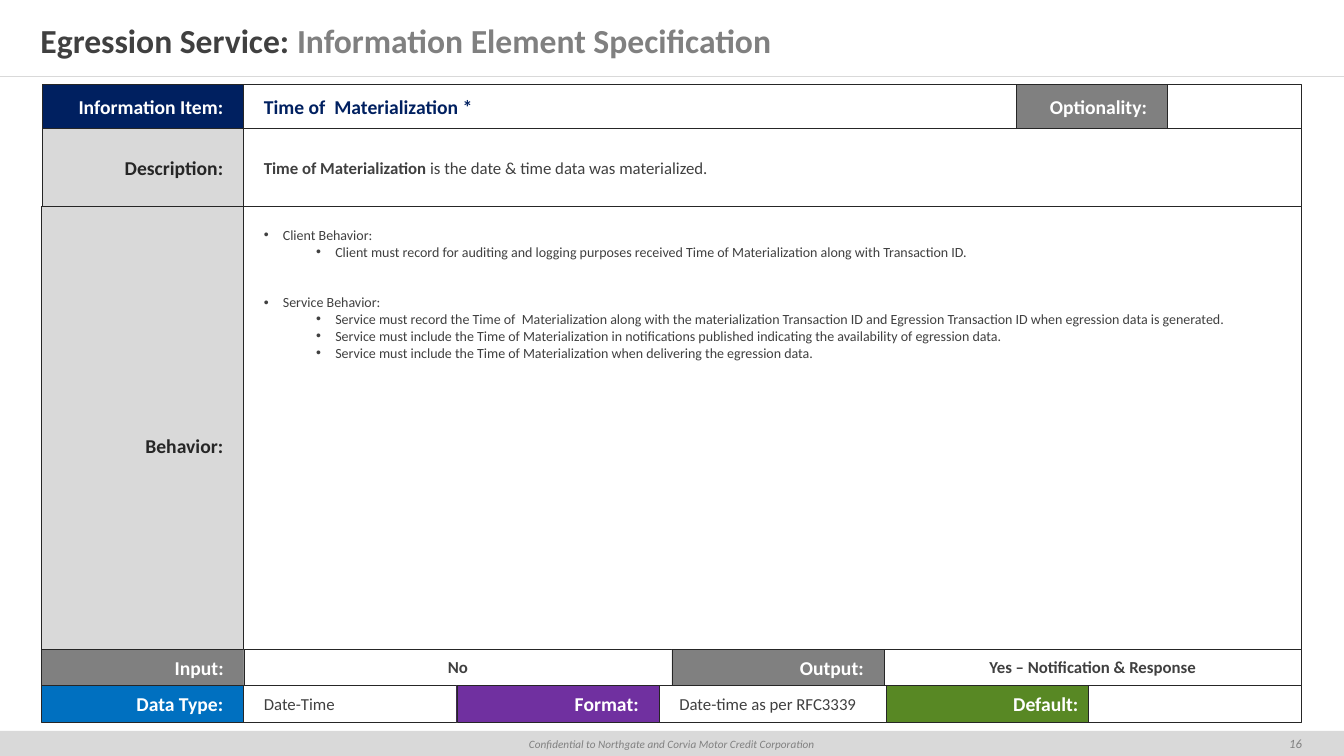
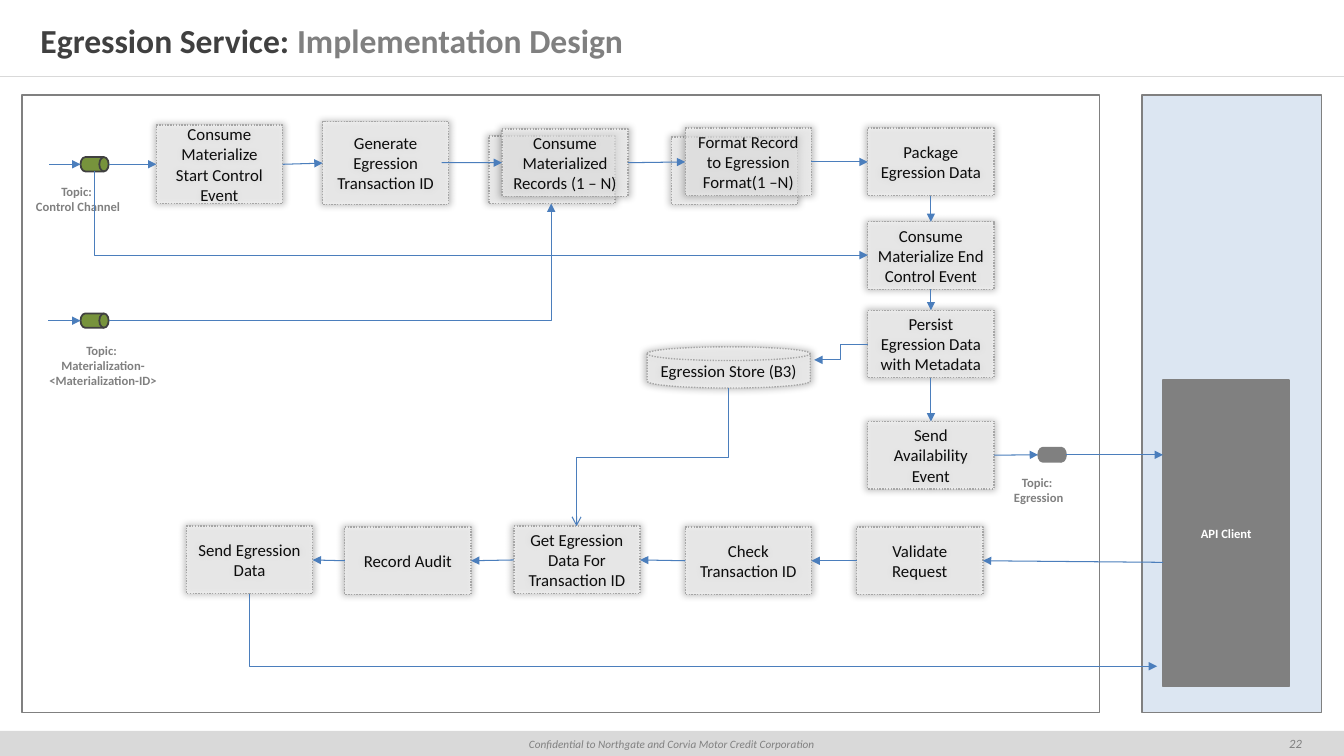
from dataclasses import dataclass
from typing import Union

from lxml.etree import SubElement
from pptx import Presentation
from pptx.dml.color import RGBColor
from pptx.enum.dml import MSO_LINE
from pptx.enum.shapes import MSO_CONNECTOR, MSO_SHAPE
from pptx.enum.text import MSO_ANCHOR, PP_ALIGN
from pptx.oxml.ns import qn
from pptx.util import Cm, Pt

FONT = "Calibri"
WHITE, INK, DARK, GREY, LIGHT = "FFFFFF", "262626", "404040", "808080", "D9D9D9"
NAVY, LINK, GREEN = "002060", "4B7EBC", "77933C"
WIDTH, HEIGHT = 33.87, 19.05
FOOTER = "Confidential to Northgate and Corvia Motor Credit Corporation"
PLAIN = (0.25, 0.13)
Point = tuple[float, float]
End = Union[Point, tuple[str, int]]


@dataclass(frozen=True)
class Style:
    size: float = 12
    color: str = DARK
    bold: bool = False
    italic: bool = False
    align: PP_ALIGN = PP_ALIGN.LEFT


@dataclass(frozen=True)
class Cell:
    text: str
    fill: str
    style: Style
    inset: float = 0.51


@dataclass(frozen=True)
class Row:
    top: float
    bottom: float
    edges: tuple[float, ...]
    cells: tuple[Cell, ...]


@dataclass(frozen=True)
class Step:
    key: str
    text: str
    left: float
    top: float
    width: float = 3.18
    height: float = 1.7
    kind: MSO_SHAPE = MSO_SHAPE.RECTANGLE


@dataclass(frozen=True)
class Elbow:
    start: Point
    end: Point
    preset: str
    upright: bool = False
    arrow: str = "triangle"


def rgb(color: str) -> RGBColor:
    """Turn a hex string into a colour."""
    return RGBColor.from_string(color)


def format_span(span, style: Style) -> None:
    """Apply a text style to one run."""
    font = span.font
    font.name, font.size = FONT, Pt(style.size)
    font.bold, font.italic = style.bold, style.italic
    font.color.rgb = rgb(style.color)


def write(box, text: str, style: Style, inset: Point = PLAIN, anchor=MSO_ANCHOR.MIDDLE) -> None:
    """Fill a shape with uniformly styled text."""
    frame = box.text_frame
    frame.word_wrap, frame.vertical_anchor = True, anchor
    frame.margin_left = frame.margin_right = Cm(inset[0])
    frame.margin_top = frame.margin_bottom = Cm(inset[1])
    frame.text = text
    for para in frame.paragraphs:
        para.alignment = style.align
        for span in para.runs:
            format_span(span, style)


def add_box(page, left, top, width, height, fill, line=None, weight=1.0, kind=MSO_SHAPE.RECTANGLE):
    """Add a filled shape without a shadow."""
    box = page.shapes.add_shape(kind, Cm(left), Cm(top), Cm(width), Cm(height))
    box.shadow.inherit = False
    box.fill.solid()
    box.fill.fore_color.rgb = rgb(fill)
    if line:
        box.line.color.rgb = rgb(line)
        box.line.width = Pt(weight)
    else:
        box.line.fill.background()
    return box


def add_label(page, text, left, top, width, height, style, inset=PLAIN, anchor=MSO_ANCHOR.TOP) -> None:
    """Add a text box."""
    box = page.shapes.add_textbox(Cm(left), Cm(top), Cm(width), Cm(height))
    write(box, text, style, inset, anchor)


def add_line(page, start: Point, end: Point, color=LINK, weight=0.75, arrow="", kind=MSO_CONNECTOR.STRAIGHT):
    """Add a connector with an optional arrowhead at its end."""
    line = page.shapes.add_connector(kind, *(Cm(value) for value in (*start, *end)))
    line.line.color.rgb = rgb(color)
    line.line.width = Pt(weight)
    if arrow:
        SubElement(line.line._get_or_add_ln(), qn("a:tailEnd"), type=arrow)
    SubElement(line._element.spPr, qn("a:effectLst"))
    return line


def add_link(page, boxes: dict, start: End, end: End) -> None:
    """Draw a straight arrow, joined to every named box."""
    ends = [(0, 0) if isinstance(stop[0], str) else stop for stop in (start, end)]
    line = add_line(page, *ends, arrow="triangle")
    for stop, join in ((start, line.begin_connect), (end, line.end_connect)):
        if isinstance(stop[0], str):
            join(boxes[stop[0]], stop[1])


def add_elbow(page, elbow: Elbow) -> None:
    """Draw a bent arrow, turned a quarter when it starts vertically."""
    (x1, y1), (x2, y2) = elbow.start, elbow.end
    start, end = elbow.start, elbow.end
    if elbow.upright:
        mid_x, mid_y = (x1 + x2) / 2, (y1 + y2) / 2
        half_x, half_y = (y2 - y1) / 2, (x1 - x2) / 2
        start, end = (mid_x - half_x, mid_y - half_y), (mid_x + half_x, mid_y + half_y)
    line = add_line(page, start, end, arrow=elbow.arrow, kind=MSO_CONNECTOR.ELBOW)
    properties = line._element.spPr
    properties.find(qn("a:prstGeom")).set("prst", elbow.preset)
    if elbow.upright:
        properties.find(qn("a:xfrm")).set("rot", "5400000")


def add_step(page, step: Step):
    """Draw a translucent process step with a soft halo."""
    box = add_box(page, step.left, step.top, step.width, step.height, WHITE, "A6A6A6", kind=step.kind)
    box.line.dash_style = MSO_LINE.ROUND_DOT
    color = box._element.spPr.find(qn("a:solidFill"))[0]
    SubElement(color, qn("a:alpha"), val="60000")
    effects = box._element.spPr.find(qn("a:effectLst"))
    halo = SubElement(effects, qn("a:outerShdw"), blurRad="63500", sx="102000", sy="102000",
                      algn="ctr", rotWithShape="0")
    SubElement(SubElement(halo, qn("a:prstClr"), val="black"), qn("a:alpha"), val="40000")
    if step.text:
        write(box, step.text, Style(12, "0D0D0D", align=PP_ALIGN.CENTER))
    return box


def add_furniture(page) -> None:
    """Draw the footer band and title rule, and move them to the layout."""
    add_box(page, 0, 18.42, WIDTH, 0.65, LIGHT)
    band = add_box(page, 0, 18.44, WIDTH, 0.61, LIGHT)
    write(band, FOOTER, Style(8, GREY, italic=True, align=PP_ALIGN.CENTER))
    add_line(page, (0, 1.91), (WIDTH, 1.91), LIGHT, 0.25)
    for shape in list(page.shapes)[-3:]:
        page.slide_layout.shapes._spTree.append(shape._element)


def add_page(deck, topic: str, number: int):
    """Add a slide with the two-tone title and its page number."""
    page = deck.slides.add_slide(deck.slide_layouts[5])
    title = page.shapes.title
    title.left, title.top, title.width, title.height = Cm(0), Cm(0.41), Cm(WIDTH), Cm(1.22)
    write(title, "Egression Service: ", Style(24, DARK, True), (1.02, 0.51))
    span = title.text_frame.paragraphs[0].add_run()
    span.text = topic
    format_span(span, Style(24, GREY, True))
    add_label(page, str(number), 31.75, 18.42, 1.8, 0.64,
              Style(9, GREY, italic=True, align=PP_ALIGN.CENTER), (0.25, 0.25), MSO_ANCHOR.MIDDLE)
    return page


HEAD = Style(14, WHITE, True, align=PP_ALIGN.RIGHT)
SIDE = Style(14, INK, True, align=PP_ALIGN.RIGHT)
BODY = Style()
CENTER = Style(bold=True, align=PP_ALIGN.CENTER)
EMPTY = Cell("", WHITE, BODY)
ROWS = (
    Row(2.12, 3.24, (1.06, 6.14, 25.61, 29.42, 32.8), (
        Cell("Information Item:", NAVY, HEAD),
        Cell("Time of  Materialization *", WHITE, Style(14, NAVY, True)),
        Cell("Optionality:", GREY, HEAD), EMPTY)),
    Row(3.24, 5.2, (1.06, 6.14, 32.8), (
        Cell("Description:", LIGHT, SIDE),
        Cell("Time of Materialization ", WHITE, Style(bold=True, align=PP_ALIGN.JUSTIFY)))),
    Row(5.2, 17.27, (1.04, 6.14, 32.8), (Cell("Behavior:", LIGHT, SIDE), EMPTY)),
    Row(16.36, 17.27, (1.04, 6.15, 16.93, 22.28, 32.8), (
        Cell("Input:", GREY, HEAD), Cell("No", WHITE, CENTER),
        Cell("Output:", GREY, HEAD), Cell("Yes – Notification & Response", WHITE, CENTER))),
    Row(17.27, 18.19, (1.04, 6.14, 11.51, 16.61, 22.33, 27.43, 32.8), (
        Cell("Data Type:", "0070C0", HEAD), Cell("Date-Time", WHITE, BODY),
        Cell("Format:", "7030A0", HEAD), Cell("Date-time as per RFC3339", WHITE, BODY),
        Cell("Default:", "588824", HEAD, 0.25), EMPTY)),
)
BEHAVIOR = (
    ("Client Behavior:", (
        "Client must record for auditing and logging purposes received Time of Materialization along with Transaction ID.",)),
    ("Service Behavior:", (
        "Service must record the Time of  Materialization along with the materialization Transaction ID and Egression Transaction ID when egression data is generated.",
        "Service must include the Time of Materialization in notifications published indicating the availability of egression data.",
        "Service must include the Time of Materialization when delivering the egression data.")),
)
STEPS = (
    Step("start", "Consume Materialize Start Control Event", 3.94, 3.15, height=1.98),
    Step("generate", "Generate Egression Transaction ID", 8.13, 3.07, height=2.08),
    Step("consume back", "", 12.32, 3.43),
    Step("consume", "Consume Materialized Records (1 – N)", 12.65, 3.25),
    Step("format back", "", 16.92, 3.45),
    Step("format", "Format Record to Egression Format(1 –N)", 17.27, 3.23),
    Step("package", "Package Egression Data", 21.87, 3.23),
    Step("end", "Consume Materialize End Control Event", 21.87, 5.59),
    Step("persist", "Persist Egression Data with Metadata", 21.87, 7.82),
    Step("notify", "Send Availability Event", 21.87, 10.62),
    Step("validate", "Validate Request", 21.59, 13.28),
    Step("check", "Check Transaction ID", 17.27, 13.28),
    Step("get", "Get Egression Data For Transaction ID", 12.95, 13.26),
    Step("audit", "Record Audit", 8.69, 13.28),
    Step("send", "Send Egression Data", 4.7, 13.26),
    Step("store", "Egression Store (B3)", 16.31, 8.74, 4.11, 1.04, MSO_SHAPE.FLOWCHART_MAGNETIC_DISK),
)
LINKS: tuple[tuple[End, End], ...] = (
    ((1.24, 4.14), (2.03, 4.14)), ((1.22, 8.08), (2.03, 8.08)),
    ((2.74, 4.14), ("start", 1)), (("start", 3), ("generate", 1)),
    ((11.13, 4.1), ("consume", 1)), (("consume", 3), ("format", 1)),
    (("format", 3), ("package", 1)), (("package", 2), ("end", 0)),
    (("end", 2), ("persist", 0)), (("persist", 2), ("notify", 0)),
    (("notify", 3), (26.16, 11.46)), ((26.87, 11.46), (29.31, 11.46)),
    ((29.31, 14.17), ("validate", 3)), (("validate", 1), ("check", 3)),
    (("check", 1), ("get", 3)), (("get", 1), ("audit", 3)), (("audit", 1), ("send", 3)),
)
ELBOWS = (
    Elbow((2.74, 8.08), (13.89, 5.13), "bentConnector2"),
    Elbow((21.87, 8.69), (20.52, 9.07), "bentConnector3"),
    Elbow((18.36, 9.78), (14.53, 13.26), "bentConnector3", True, "arrow"),
    Elbow((6.3, 14.96), (29.16, 16.79), "bentConnector2", True),
    Elbow((2.39, 4.32), (21.87, 6.43), "bentConnector2", True),
)
DRUMS = ((2.03, 3.96, GREEN, DARK, 1.25), (2.03, 7.9, GREEN, DARK, 1.25), (26.16, 11.28, GREY, GREY, 1))
TOPICS = (("Control Channel", 0.53, 4.5, 2.87, 1.02),
          ("Materialization-<Materialization-ID>", 0.74, 8.51, 3.71, 1.42),
          ("Egression", 23.85, 11.84, 4.65, 1.02))


def write_behavior(box) -> None:
    """Write the two-level bullet list of behaviours."""
    lines = [(level, text) for head, items in BEHAVIOR
             for level, text in ((0, head), *((1, item) for item in items))]
    write(box, "\n".join(text for _, text in lines), Style(10, align=PP_ALIGN.JUSTIFY),
          (0.51, 0.51), MSO_ANCHOR.TOP)
    for index, (para, (level, _)) in enumerate(zip(box.text_frame.paragraphs, lines)):
        para.level = level
        properties = para._p.get_or_add_pPr()
        properties.set("marL", str(Cm((0.48, 1.8)[level])))
        properties.set("indent", str(-Cm(0.48)))
        if index and level == 0:
            para.space_before = Pt(24)
        SubElement(properties, qn("a:buFont"), typeface="Arial")
        SubElement(properties, qn("a:buChar"), char="•")


def fill_specification(page) -> None:
    """Draw the information element sheet."""
    sheet = []
    for row in ROWS:
        for left, right, cell in zip(row.edges, row.edges[1:], row.cells):
            box = add_box(page, left, row.top, right - left, row.bottom - row.top, cell.fill, INK, 0.25)
            if cell.text:
                write(box, cell.text, cell.style, (cell.inset, 0.13))
            sheet.append(box)
    description, behavior = sheet[5], sheet[7]
    span = description.text_frame.paragraphs[0].add_run()
    span.text = "is the date & time data was materialized."
    format_span(span, BODY)
    write_behavior(behavior)


def fill_design(page) -> None:
    """Draw the implementation flow."""
    add_box(page, 0.56, 2.39, 27.15, 15.57, WHITE, GREY)
    add_box(page, 28.78, 2.39, 4.52, 15.57, "DCE6F2", GREY)
    client = add_box(page, 29.31, 9.58, 3.18, 7.72, GREY, GREY)
    write(client, "API Client", Style(9, WHITE, True, align=PP_ALIGN.CENTER), (0, 0.13))
    boxes = {step.key: add_step(page, step) for step in STEPS}
    for left, top, fill, line, weight in DRUMS:
        add_box(page, left, top, 0.71, 0.36, fill, line, weight, MSO_SHAPE.FLOWCHART_DIRECT_ACCESS_STORAGE)
    for name, *place in TOPICS:
        add_label(page, f"Topic: \n{name}", *place, Style(9, GREY, True, align=PP_ALIGN.CENTER))
    for start, end in LINKS:
        add_link(page, boxes, start, end)
    for elbow in ELBOWS:
        add_elbow(page, elbow)


def main() -> None:
    """Build and save the deck."""
    deck = Presentation()
    deck.slide_width, deck.slide_height = Cm(WIDTH), Cm(HEIGHT)
    specification = add_page(deck, "Information Element Specification", 16)
    add_furniture(specification)
    fill_specification(specification)
    fill_design(add_page(deck, "Implementation Design", 22))
    deck.save("out.pptx")


if __name__ == "__main__":
    main()
